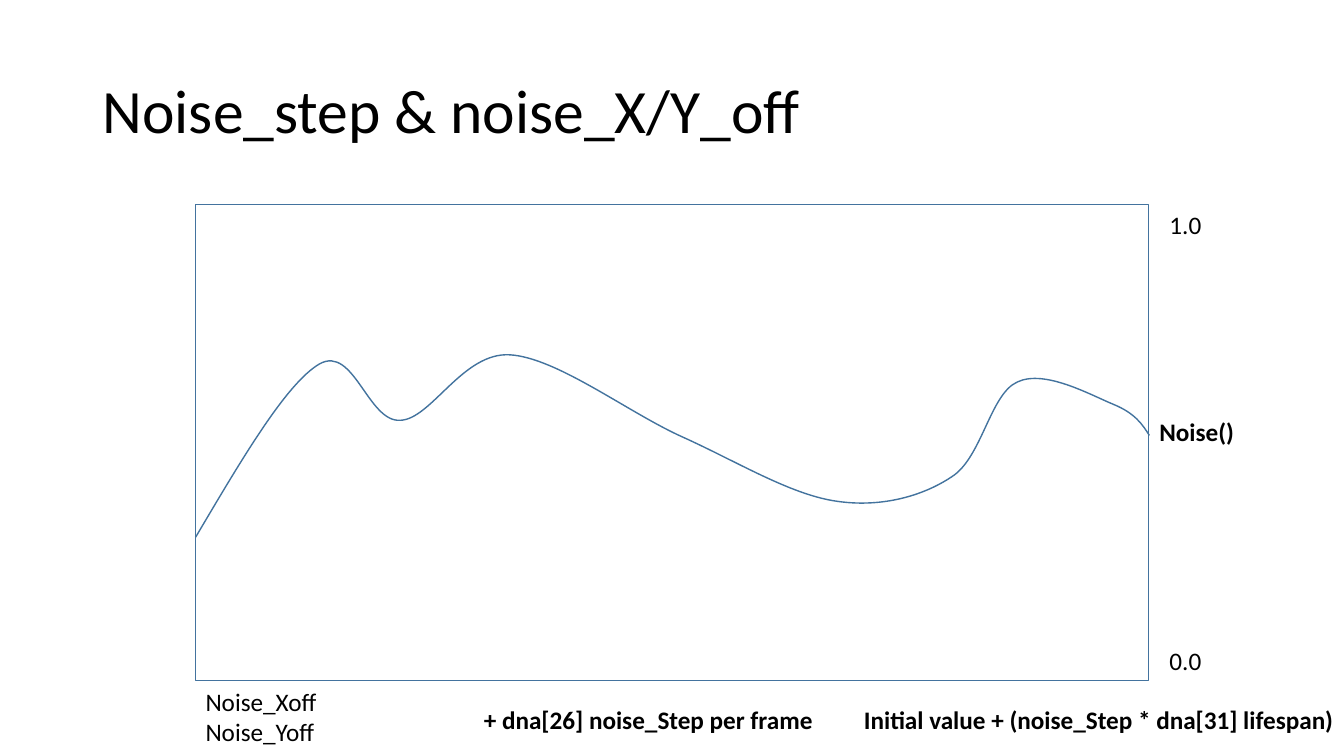
from dataclasses import dataclass

from lxml.etree import SubElement
from pptx import Presentation
from pptx.dml.color import RGBColor
from pptx.enum.shapes import MSO_SHAPE
from pptx.enum.text import MSO_ANCHOR, MSO_AUTO_SIZE
from pptx.oxml.ns import qn
from pptx.util import Inches, Pt


@dataclass(frozen=True)
class Theme:
    """Colours, font and type sizes of the slide."""
    ink: RGBColor = RGBColor(0, 0, 0)
    blue: RGBColor = RGBColor(0x43, 0x73, 0x9E)
    font: str = "Calibri"
    title: int = 44
    label: int = 18
    line: int = 1


THEME = Theme()
FRAME = (1.94, 2.03, 9.45, 4.72)
START = (1.94, 5.33)
# Each curve piece: first control, second control, end point
CURVE = [
    ((2.39, 4.57), (2.84, 3.8), (3.17, 3.61)),
    ((3.51, 3.42), (3.65, 4.19), (3.97, 4.17)),
    ((4.28, 4.16), (4.59, 3.49), (5.06, 3.52)),
    ((5.53, 3.55), (6.24, 4.1), (6.78, 4.34)),
    ((7.31, 4.58), (7.83, 4.9), (8.28, 4.97)),
    ((8.72, 5.04), (9.14, 4.93), (9.44, 4.73)),
    ((9.74, 4.54), (9.82, 3.91), (10.09, 3.79)),
    ((10.36, 3.66), (10.82, 3.92), (11.04, 4.01)),
    ((11.26, 4.1), (11.33, 4.21), (11.4, 4.32)),
]
# Text, box, bold
LABELS = [
    ("Initial value + (noise_Step * dna[31] lifespan)",
     (8.47, 6.94, 4.86, 0.4), True),
    ("Noise_Xoff\nNoise_Yoff", (1.94, 6.76, 1.4, 0.71), False),
    ("0.0", (11.5, 6.35, 1.11, 0.4), False),
    ("1.0", (11.5, 2.03, 1.11, 0.4), False),
    ("+ dna[26] noise_Step per frame", (4.7, 6.94, 3.58, 0.4), True),
    ("Noise()", (11.4, 4.08, 1.16, 0.4), True),
]


def inch(vals):
    """Turn a group of numbers into lengths."""
    return [Inches(v) for v in vals]


def add_text(slide, text, box, size, bold=False):
    """Add a text box; bold labels fit tightly and stay on one line."""
    frame = slide.shapes.add_textbox(*inch(box)).text_frame
    frame.word_wrap = not bold
    frame.text = text
    for para in frame.paragraphs:
        for run in para.runs:
            font = run.font
            font.name, font.size, font.bold = THEME.font, Pt(size), bold
            font.color.rgb = THEME.ink
    return frame


def add_title(slide, text):
    """Add the title, centred in height."""
    frame = add_text(slide, text, (0.92, 0.4, 11.5, 1.45), THEME.title)
    frame.vertical_anchor = MSO_ANCHOR.MIDDLE
    frame.paragraphs[0].line_spacing = 0.9


def add_label(slide, text, box, bold):
    """Add a label whose box grows with its text."""
    frame = add_text(slide, text, box, THEME.label, bold)
    frame.auto_size = MSO_AUTO_SIZE.SHAPE_TO_FIT_TEXT


def outline(shape):
    """Leave only a thin blue line."""
    shape.shadow.inherit = False
    shape.fill.background()
    shape.line.color.rgb = THEME.blue
    shape.line.width = Pt(THEME.line)


def add_frame(slide, box):
    """Add the frame of the plot."""
    outline(slide.shapes.add_shape(MSO_SHAPE.RECTANGLE, *inch(box)))


def add_curve(slide, start, parts):
    """Add an open path and bend each of its straight pieces."""
    pen = slide.shapes.build_freeform(*inch(start))
    pen.add_line_segments([inch(part[-1]) for part in parts], close=False)
    shape = pen.convert_to_shape()
    outline(shape)
    steps = list(shape.element.iter(qn("a:lnTo")))
    for step, part in zip(steps, parts):
        step.tag = qn("a:cubicBezTo")
        step.remove(step[0])
        for x, y in map(inch, part):
            SubElement(step, qn("a:pt"),
                       x=str(x - shape.left), y=str(y - shape.top))


def main():
    """Build and save the slide."""
    deck = Presentation()
    deck.slide_width, deck.slide_height = inch((13.33, 7.5))
    slide = deck.slides.add_slide(deck.slide_layouts[6])
    add_title(slide, "Noise_step & noise_X/Y_off")
    add_frame(slide, FRAME)
    for text, box, bold in LABELS:
        add_label(slide, text, box, bold)
    add_curve(slide, START, CURVE)
    deck.save("out.pptx")


main()
